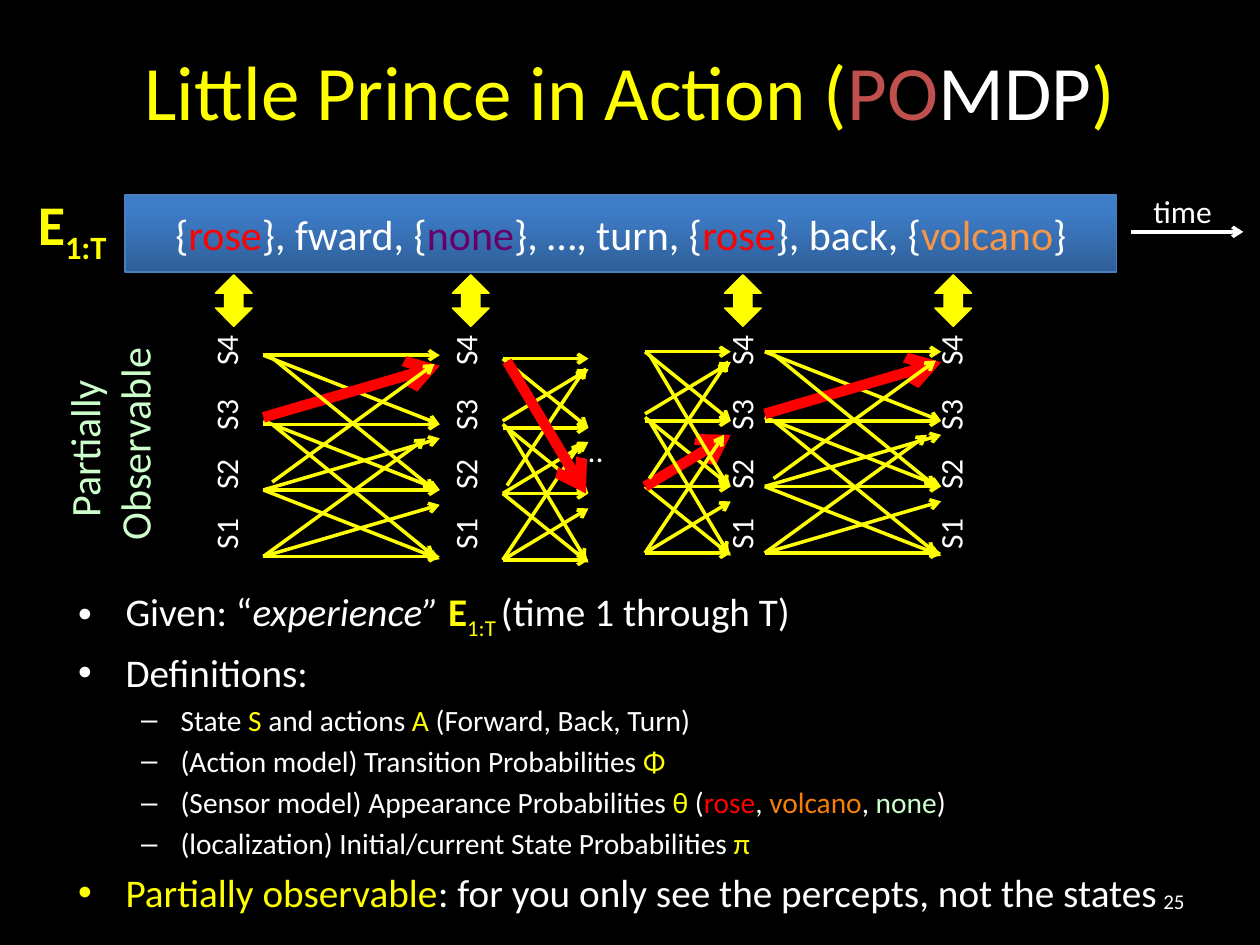
from lxml import etree
from pptx import Presentation
from pptx import util as u
from pptx.dml.color import RGBColor
from pptx.enum import shapes, text
from pptx.oxml.ns import qn

Pt = u.Pt
C = {"black": "000000", "white": "FFFFFF", "yellow": "FFFF00", "red": "FF0000",
     "brick": "C0504D", "mint": "CCFFCC", "purple": "660066", "peach": "F79646",
     "orange": "F57F09", "bar_dark": "2F5F99", "bar_light": "3D7CC7", "bar_line": "4B7EBC"}

# A run is (text, colour, style letters): b bold, i italic, s subscript.
TITLE = [("Little Prince in Action (", "yellow"), ("PO", "brick"), ("MDP", "white"), (")", "yellow")]
BODY = [  # (outline level, runs)
    (0, [("Given: “", "white"), ("experience” ", "white", "i"), ("E", "yellow", "b"),
         ("1:T ", "yellow", "s"), ("(time 1 through T)", "white")]),
    (0, [("Definitions:", "white")]),
    (1, [("State ", "white"), ("S ", "yellow"), ("and actions ", "white"), ("A ", "yellow"),
         ("(Forward, Back, Turn)", "white")]),
    (1, [("(Action model) Transition Probabilities ", "white"), ("Φ", "yellow")]),
    (1, [("(Sensor model) Appearance Probabilities ", "white"), ("θ ", "yellow"), ("(", "white"),
         ("rose", "red"), (", ", "white"), ("volcano", "orange"), (", ", "white"),
         ("none", "mint"), (")", "white")]),
    (1, [("(localization) Initial/current State Probabilities ", "white"), ("π", "yellow")]),
    (0, [("Partially observable", "yellow"),
         (": for you only see the percepts, not the states", "white")]),
]
LEVELS = [  # size, left margin, hanging indent, bullet
    (22.4, 27, 27, "•"),
    (16.8, 58.5, 22.5, "–"),
]
EXPERIENCE = [("{", "white"), ("rose", "red"), ("}, fward, {", "white"), ("none", "purple"),
              ("}, …, turn, {", "white"), ("rose", "red"), ("}, back, {", "white"),
              ("volcano", "peach"), ("}", "white")]
STATES = "S1\tS2\tS3\tS4"
STATE_TABS = [34, 68, 105]
STATE_COLUMNS = [(114.5, 123.1), (251.3, 258.5), (409, 414), (528.5, 534.2)]  # label x, arrow x

# Transition: start x (share of width), start y, end x, end y (points below the top).
TRANSITIONS = [
    (0, 39.5, 1, 39.5), (0, 77, 1, 77), (0, 115, 1, 115), (0, 0, 1, 0),
    (0, 0, 1, 39.5), (0, 37.5, 1, 77), (0, 77, 1, 116.5), (0, 115, 1, 85.5),
    (0, 77, 1, 47.5), (0, 35.5, 1, 6), (0, 115, 0.92, 47.5),
    (0.05, 72.5, 0.97, 5), (0.05, 39.5, 0.97, 115), (0.05, 1.5, 0.97, 77),
]
TRELLISES = [  # left, top, width, index of the transition taken
    (150.5, 203, 100.8, 9), (437, 201, 100.8, 9),
    (287.3, 205, 49, 13), (368.6, 201, 49, 8),
]


def rgb(name):
    return RGBColor.from_string(C[name])


def add_runs(p, runs, size):
    for words, colour, *style in runs:
        r = p.add_run()
        r.text = words
        r.font.name, r.font.size = "Calibri", Pt(size)
        r.font.color.rgb = rgb(colour)
        if "b" in style:
            r.font.bold = True
        if "i" in style:
            r.font.italic = True
        if "s" in style:
            r.font._element.set("baseline", "-25000")


def place(sp, box):
    sp.left, sp.top, sp.width, sp.height = (Pt(v) for v in box)


def add_text(s, box, lines, size, align="LEFT", wrap=False, anchor="TOP"):
    """Add a text box; lines is a list of run lists."""
    sp = s.shapes.add_textbox(*(Pt(v) for v in box))
    tf = sp.text_frame
    tf.word_wrap = wrap
    tf.vertical_anchor = text.MSO_ANCHOR[anchor]
    for i, runs in enumerate(lines):
        p = tf.add_paragraph() if i else tf.paragraphs[0]
        p.alignment = text.PP_ALIGN[align]
        add_runs(p, runs, size)
    return sp


def add_states(s, x):
    """Add the state names, read upwards and spaced by tab stops."""
    tf = add_text(s, (x, 190, 36, 131), [[(STATES, "white")]], 18, wrap=True).text_frame
    tf.margin_top = 0
    tf._txBody.bodyPr.set("vert", "vert270")
    tabs = etree.SubElement(tf.paragraphs[0]._p.get_or_add_pPr(), qn("a:tabLst"))
    for pos in STATE_TABS:
        etree.SubElement(tabs, qn("a:tab"), pos=str(Pt(pos)), algn="l")


def add_arrow(parent, x1, y1, x2, y2, colour, width=2):
    c = parent.shapes.add_connector(shapes.MSO_CONNECTOR.STRAIGHT, Pt(x1), Pt(y1), Pt(x2), Pt(y2))
    c.line.color.rgb, c.line.width = rgb(colour), Pt(width)
    etree.SubElement(c.line._get_or_add_ln(), qn("a:tailEnd"), type="arrow")
    etree.SubElement(c._element.spPr, qn("a:effectLst"))


def add_trellis(s, left, top, width, taken):
    group = s.shapes.add_group_shape()
    for i, (x1, y1, x2, y2) in enumerate(TRANSITIONS):
        look = ("red", 6) if i == taken else ("yellow", 2)
        add_arrow(group, left + x1 * width, top + y1, left + x2 * width, top + y2, *look)


def add_shape(s, kind, box, line):
    sp = s.shapes.add_shape(shapes.MSO_SHAPE[kind], *(Pt(v) for v in box))
    sp.shadow.inherit = False
    sp.line.color.rgb, sp.line.width = rgb(line), Pt(0.75)
    return sp


def fill_title(sp):
    place(sp, (36, 6, 648, 90))
    tf = sp.text_frame
    tf.auto_size = text.MSO_AUTO_SIZE.NONE
    tf.vertical_anchor = text.MSO_ANCHOR.MIDDLE
    tf.paragraphs[0].alignment = text.PP_ALIGN.CENTER
    add_runs(tf.paragraphs[0], TITLE, 44)


def fill_body(sp):
    place(sp, (37.5, 332, 662, 168.5))
    tf = sp.text_frame
    tf.auto_size = text.MSO_AUTO_SIZE.NONE
    for i, (level, runs) in enumerate(BODY):
        size, margin, hang, bullet = LEVELS[level]
        p = tf.add_paragraph() if i else tf.paragraphs[0]
        p.level = level
        p.space_before = Pt(round(size * 0.2, 1) if i else 0)
        pPr = p._p.get_or_add_pPr()
        pPr.set("marL", str(Pt(margin)))
        pPr.set("indent", str(-Pt(hang)))
        etree.SubElement(pPr, qn("a:buChar"), char=bullet)
        add_runs(p, runs, size)


def add_experience_bar(s):
    bar = add_shape(s, "RECTANGLE", (71.5, 111.5, 566.5, 44), "bar_line")
    bar.fill.gradient()
    bar.fill.gradient_angle = 90
    for stop, (colour, pos) in zip(bar.fill.gradient_stops, [("bar_dark", 0), ("bar_light", 0.8)]):
        stop.color.rgb, stop.position = rgb(colour), pos
    p = bar.text_frame.paragraphs[0]
    p.alignment = text.PP_ALIGN.CENTER
    add_runs(p, EXPERIENCE, 24)


def main():
    prs = Presentation()
    prs.slide_width, prs.slide_height = Pt(720), Pt(540)
    s = prs.slides.add_slide(prs.slide_layouts[1])
    s.background.fill.solid()
    s.background.fill.fore_color.rgb = rgb("black")

    fill_title(s.shapes.title)
    fill_body(s.placeholders[1])
    add_text(s, (516, 500.5, 168, 29), [[("25", "white")]], 12, "RIGHT", True, "MIDDLE")
    for x, _ in STATE_COLUMNS:
        add_states(s, x)
    add_text(s, (312.5, 242.5, 41, 29), [[("……", "white")]], 18)
    for trellis in TRELLISES:
        add_trellis(s, *trellis)
    for _, x in STATE_COLUMNS:
        arrow = add_shape(s, "UP_DOWN_ARROW", (x, 157, 21, 29.5), "yellow")
        arrow.fill.solid()
        arrow.fill.fore_color.rgb = rgb("yellow")
    add_experience_bar(s)
    side = add_text(s, (-0.5, 221, 126, 65.5),
                    [[("Partially ", "mint")], [("Observable", "mint")]], 24, "CENTER")
    side.rotation = 270
    add_text(s, (14.5, 105, 58.5, 46), [[("E", "yellow", "b"), ("1:T", "yellow", "b", "s")]], 32)
    add_arrow(s, 646.5, 132.5, 710.5, 132.5, "white")
    add_text(s, (652, 106, 48.5, 29), [[("time", "white")]], 18)
    prs.save("out.pptx")


if __name__ == "__main__":
    main()
